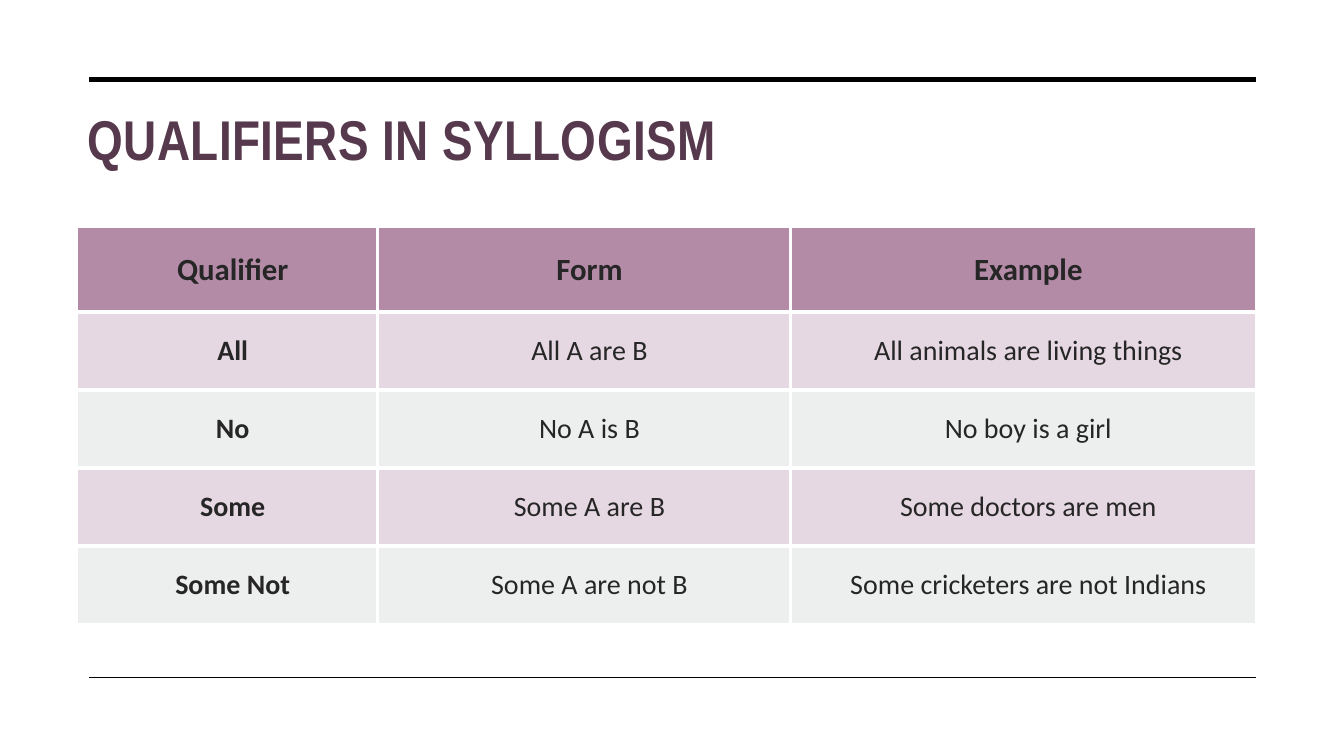
import pptx
import pptx.util
import pptx.dml.color
import pptx.enum.shapes
import pptx.enum.text
import pptx.oxml
import pptx.oxml.ns
from pptx.util import Cm

COLORS = {
    "title": "57394E",
    "text": "262626",
    "rule": "000000",
    "edge": "FFFFFF",
    "head": "B38BA7",
    "odd": "E6D8E2",
    "even": "EDEEEE",
}
WIDTHS = [7.57, 10.41, 11.71]
HEAD, ROW = 2.13, 1.96
ROWS = [
    ("Qualifier", "Form", "Example"),
    ("All", "All A are B", "All animals are living things"),
    ("No", "No A is B", "No boy is a girl"),
    ("Some", "Some A are B", "Some doctors are men"),
    ("Some Not", "Some A are not B", "Some cricketers are not Indians"),
]


def color(name):
    return pptx.dml.color.RGBColor.from_string(COLORS[name])


def add_run(para, text, font, size, bold, tint):
    run = para.add_run()
    run.text = text
    run.font.name = font
    run.font.size = pptx.util.Pt(size)
    run.font.bold = bold
    run.font.color.rgb = color(tint)
    return run


def add_title(slide, text):
    title = slide.shapes.title
    title.left, title.top = Cm(1.96), Cm(2.51)
    title.width, title.height = Cm(29.69), Cm(3.2)
    frame = title.text_frame
    frame.word_wrap = True
    frame.vertical_anchor = pptx.enum.text.MSO_ANCHOR.TOP
    para = frame.paragraphs[0]
    para.alignment = pptx.enum.text.PP_ALIGN.LEFT
    run = add_run(para, text, "Arial Narrow", 40, True, "title")
    run.font._element.set("spc", "30")


def add_rule(slide, top, weight):
    rule = slide.shapes.add_connector(
        pptx.enum.shapes.MSO_CONNECTOR.STRAIGHT,
        Cm(2.24), Cm(top), Cm(31.65), Cm(top))
    rule.line.color.rgb = color("rule")
    rule.line.width = pptx.util.Pt(weight)
    props = rule._element.spPr
    props.append(props.makeelement(pptx.oxml.ns.qn("a:effectLst"), {}))


def set_edges(cell, sides):
    # Border elements come before the fill, in the order L, R, T, B
    props = cell._tc.get_or_add_tcPr()
    for spot, side in enumerate(sides):
        props.insert(spot, pptx.oxml.parse_xml(
            f'<a:ln{side} {pptx.oxml.ns.nsdecls("a")} w="38100"><a:solidFill>'
            f'<a:srgbClr val="{COLORS["edge"]}"/></a:solidFill></a:ln{side}>'))


def fill_cell(cell, text, size, bold, tint):
    cell.fill.solid()
    cell.fill.fore_color.rgb = color(tint)
    cell.vertical_anchor = pptx.enum.text.MSO_ANCHOR.MIDDLE
    cell.margin_left = Cm(0.71)
    cell.margin_right = cell.margin_top = cell.margin_bottom = Cm(0.43)
    para = cell.text_frame.paragraphs[0]
    para.alignment = pptx.enum.text.PP_ALIGN.CENTER
    add_run(para, text, "Calibri", size, bold, "text")


def add_grid(slide):
    last_row, last_col = len(ROWS) - 1, len(WIDTHS) - 1
    grid = slide.shapes.add_table(
        len(ROWS), len(WIDTHS), Cm(1.94), Cm(5.74),
        Cm(sum(WIDTHS)), Cm(HEAD + ROW * last_row)).table
    for col, width in zip(grid.columns, WIDTHS):
        col.width = Cm(width)
    for r, words in enumerate(ROWS):
        grid.rows[r].height = Cm(ROW if r else HEAD)
        tint = ("odd" if r % 2 else "even") if r else "head"
        for c, text in enumerate(words):
            cell = grid.cell(r, c)
            fill_cell(cell, text, 20 if r else 22, r == 0 or c == 0, tint)
            # Only inner edges are ruled
            inner = {"L": c > 0, "R": c < last_col,
                     "T": r > 0, "B": r < last_row}
            set_edges(cell, [side for side in inner if inner[side]])


def main():
    deck = pptx.Presentation()
    deck.slide_width, deck.slide_height = Cm(33.87), Cm(19.05)
    slide = deck.slides.add_slide(deck.slide_layouts.get_by_name("Title Only"))

    # Title between the frame rules
    add_title(slide, "QUALIFIERS IN SYLLOGISM")
    add_rule(slide, 2.01, 3.5)
    add_rule(slide, 17.07, 1)

    # Table of qualifiers
    add_grid(slide)
    deck.save("out.pptx")


if __name__ == "__main__":
    main()
